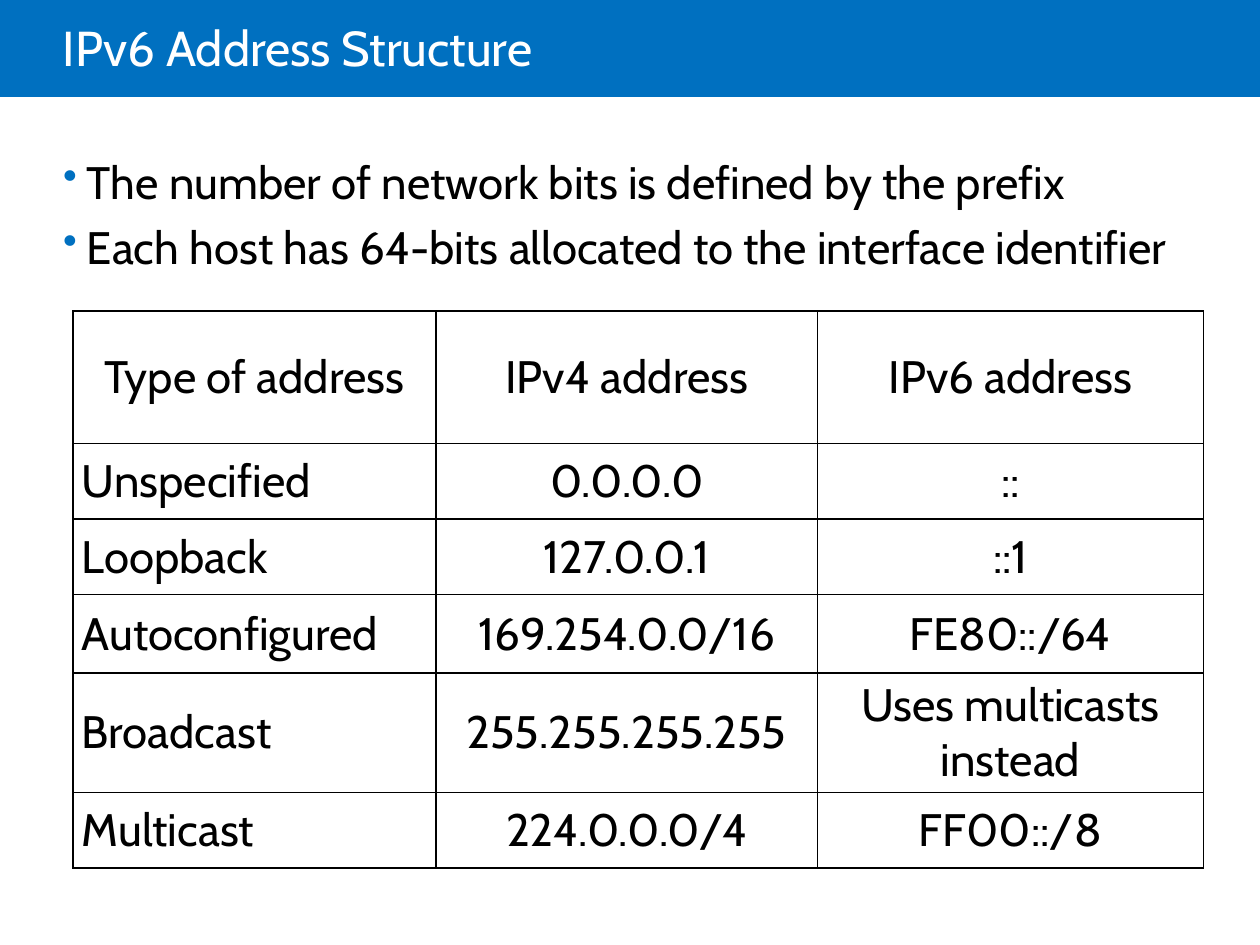
import pptx
import pptx.dml.color
import pptx.enum.shapes
import pptx.enum.text
import pptx.oxml
import pptx.oxml.ns
import pptx.util
from dataclasses import dataclass

Inches = pptx.util.Inches
Pt = pptx.util.Pt
RGB = pptx.dml.color.RGBColor
ALIGN = pptx.enum.text.PP_ALIGN
MIDDLE = pptx.enum.text.MSO_ANCHOR.MIDDLE
NS = pptx.oxml.ns.nsdecls("a")


@dataclass
class Theme:
    font: str = "Cabin"
    accent: str = "0070C0"
    ink: str = "000000"
    paper: str = "FFFFFF"
    title: int = 28
    body: int = 26


theme = Theme()


def style(p, size, color):
    for r in p.runs:
        r.font.name = theme.font
        r.font.size = Pt(size)
        r.font.color.rgb = RGB.from_string(color)


def add_text(left, top, width, height, margins):
    tf = s.shapes.add_textbox(Inches(left), Inches(top), Inches(width), Inches(height)).text_frame
    tf.word_wrap = True
    tf.margin_left, tf.margin_top, tf.margin_right, tf.margin_bottom = map(Inches, margins)
    return tf


prs = pptx.Presentation()
prs.slide_width = Inches(10)
prs.slide_height = Inches(7.5)
s = prs.slides.add_slide(prs.slide_layouts[6])

band = s.shapes.add_shape(pptx.enum.shapes.MSO_SHAPE.RECTANGLE, 0, 0, Inches(10), Inches(0.77))
band.shadow.inherit = False
band.fill.solid()
band.fill.fore_color.rgb = RGB.from_string(theme.accent)
band.line.fill.background()

tf = add_text(0.5, 0, 8.5, 0.81, (0, 0.05, 0.1, 0.05))
tf.vertical_anchor = MIDDLE
p = tf.paragraphs[0]
p.text = "IPv6 Address Structure"
p.line_spacing = 0.85
style(p, theme.title, theme.paper)

bullets = [
    "The number of network bits is defined by the prefix",
    "Each host has 64-bits allocated to the interface identifier",
]
tf = add_text(0.5, 1.22, 9.18, 1.06, (0, 0, 0, 0))
tf.text = "\n".join(bullets)
for i, p in enumerate(tf.paragraphs):
    if i:
        p.space_before = Pt(6)
    pPr = p._p.get_or_add_pPr()
    pPr.set("marL", str(Inches(0.19)))
    pPr.set("indent", str(-Inches(0.19)))
    for xml in (
        f'<a:buClr {NS}><a:srgbClr val="{theme.accent}"/></a:buClr>',
        f'<a:buSzPct {NS} val="90000"/>',
        f'<a:buChar {NS} char="•"/>',
    ):
        pPr.append(pptx.oxml.parse_xml(xml))
    style(p, theme.body, theme.ink)

rows = [
    ("Type of address", "IPv4 address", "IPv6 address"),
    ("Unspecified", "0.0.0.0", "::"),
    ("Loopback", "127.0.0.1", "::1"),
    ("Autoconfigured", "169.254.0.0/16", "FE80::/64"),
    ("Broadcast", "255.255.255.255", "Uses multicasts instead"),
    ("Multicast", "224.0.0.0/4", "FF00::/8"),
]
col_widths = [2.88, 3.03, 3.06]
row_heights = [1.05, 0.6, 0.6, 0.62, 0.95, 0.6]
table = s.shapes.add_table(
    len(rows), len(col_widths), Inches(0.58), Inches(2.47),
    Inches(sum(col_widths)), Inches(sum(row_heights)),
).table
table.first_row = False
table.horz_banding = False
for column, width in zip(table.columns, col_widths):
    column.width = Inches(width)
for row, height in zip(table.rows, row_heights):
    row.height = Inches(height)

for i, values in enumerate(rows):
    for j, value in enumerate(values):
        cell = table.cell(i, j)
        cell.text = value
        cell.vertical_anchor = MIDDLE
        cell.margin_left = cell.margin_right = Inches(0.07)
        cell.margin_top = cell.margin_bottom = 0
        cell.fill.background()
        p = cell.text_frame.paragraphs[0]
        p.alignment = ALIGN.LEFT if i and j == 0 else ALIGN.CENTER
        style(p, theme.body, theme.ink)
        tcPr = cell._tc.get_or_add_tcPr()
        for k, side in enumerate(("lnL", "lnR", "lnT", "lnB")):
            tcPr.insert(k, pptx.oxml.parse_xml(
                f'<a:{side} {NS} w="{Pt(1)}"><a:solidFill>'
                f'<a:srgbClr val="{theme.ink}"/></a:solidFill></a:{side}>'
            ))

prs.save("out.pptx")
